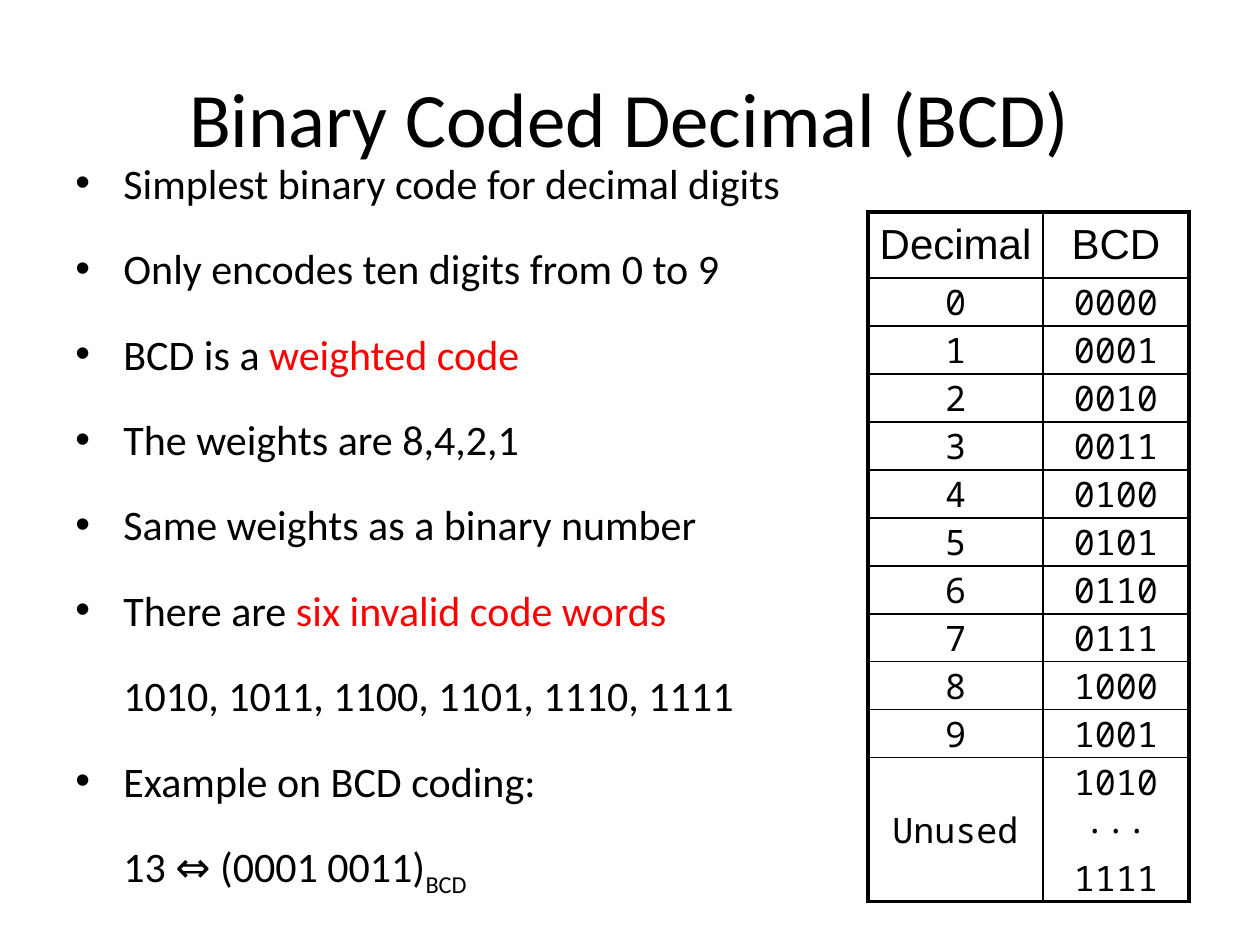
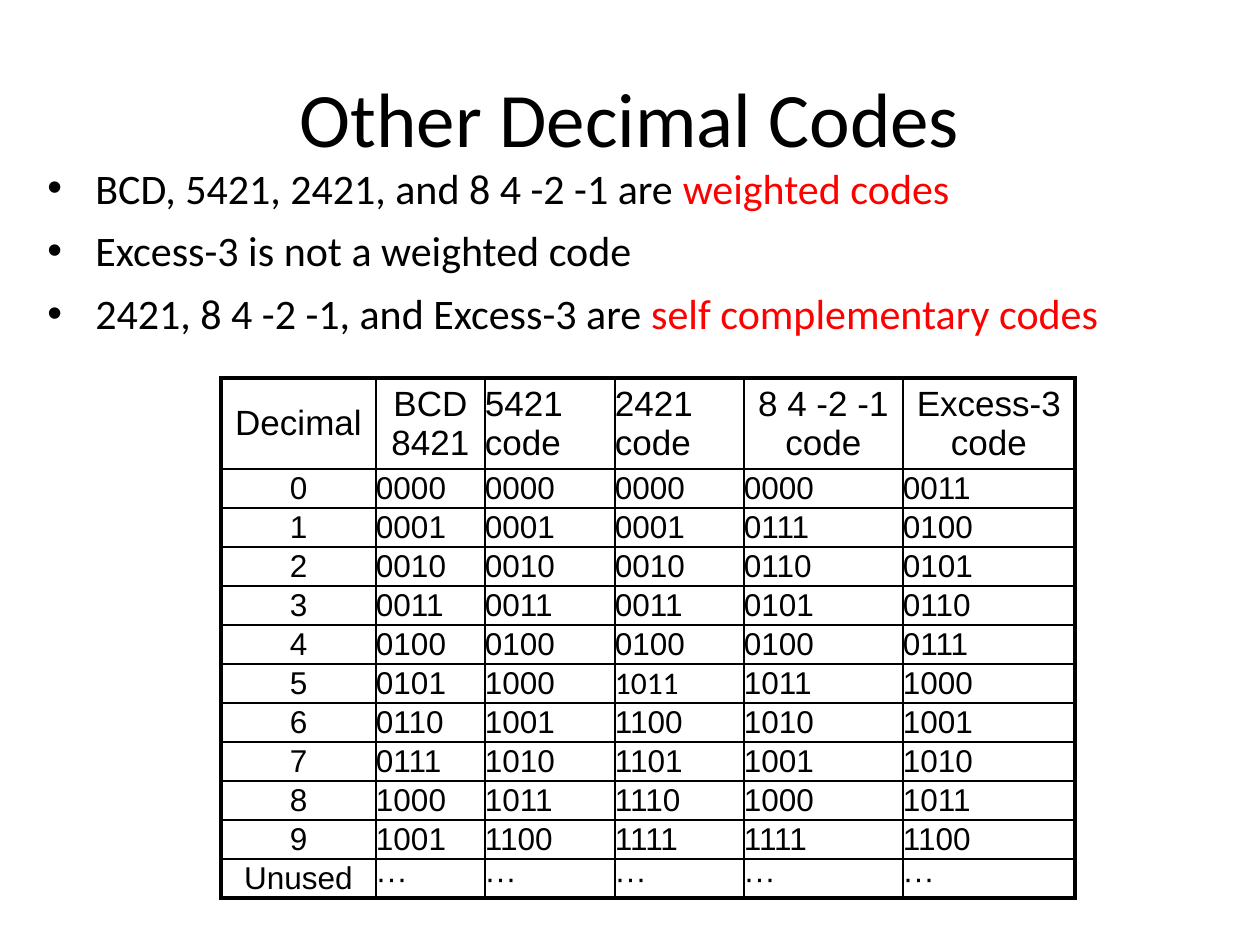
import pptx
import pptx.dml.color
import pptx.enum.text
import pptx.oxml.ns
import pptx.util
from lxml import etree

PX = 914400 / 126
BLACK, RED = "000000", "FF0000"
ALIGN = pptx.enum.text.PP_ALIGN
ANCHOR = pptx.enum.text.MSO_ANCHOR
TITLE_BOX = (63, 38, 1134, 157)
BULLET_INDENT = 48
THIN, THICK = 1, 2.25
DIGITS = [str(digit) for digit in range(10)]
BCD = [format(digit, "04b") for digit in range(10)]

SLIDES = [
    {
        "title": "Binary Coded Decimal (BCD)",
        "body_box": (63, 151, 798, 762),
        "gap": 20,
        "lines": [
            ("•", [("Simplest binary code for decimal digits", {})]),
            ("•", [("Only encodes ten digits from 0 to 9", {})]),
            ("•", [("BCD is a ", {}), ("weighted code", {"color": RED})]),
            ("•", [("The weights are 8,4,2,1", {})]),
            ("•", [("Same weights as a binary number", {})]),
            ("•", [("There are ", {}), ("six invalid code words", {"color": RED})]),
            ("", [("1010, 1011, 1100, 1101, 1110, 1111", {})]),
            ("•", [("Example on BCD coding:", {})]),
            ("", [("13 ⇔ (0001 0011)", {}), ("BCD", {"baseline": -25})]),
        ],
        "table": {
            "corner": (868, 212),
            "widths": [175, 146],
            "heights": [66] + [48] * 10 + [144],
            "columns": [
                ["Decimal", *DIGITS, "Unused"],
                ["BCD", *BCD, "1010\n···\n1111"],
            ],
            "head": {"size": 24, "font": "Arial"},
            "body": {"size": 20, "font": "Noto Sans Mono"},
            "left_heads": [],
            "left_bodies": [],
            "fonts": {},
        },
    },
    {
        "title": "Other Decimal Codes",
        "body_box": (35, 156, 1207, 190),
        "gap": 7,
        "lines": [
            ("•", [("BCD, 5421, 2421, and 8 4 -2 -1 are ", {}),
                   ("weighted codes", {"color": RED})]),
            ("•", [("Excess-3 is not a weighted code", {})]),
            ("•", [("2421, 8 4 -2 -1, and Excess-3 are ", {}),
                   ("self complementary codes", {"color": RED})]),
        ],
        "table": {
            "corner": (221, 378),
            "widths": [155, 109, 130, 129, 159, 172],
            "heights": [91] + [39] * 11,
            "columns": [
                ["Decimal", *DIGITS, "Unused"],
                ["BCD\n8421", *BCD, "···"],
                ["5421\ncode", *BCD[:5], "1000", "1001", "1010", "1011", "1100", "···"],
                ["2421\ncode", *BCD[:5], "1011", "1100", "1101", "1110", "1111", "···"],
                ["8 4 -2 -1\ncode", "0000", "0111", "0110", "0101", "0100",
                 "1011", "1010", "1001", "1000", "1111", "···"],
                ["Excess-3\ncode", *[format(digit + 3, "04b") for digit in range(10)], "···"],
            ],
            "head": {"size": 20, "font": "Arial"},
            "body": {"size": 18, "font": "Arial"},
            "left_heads": [2, 3],
            "left_bodies": [1, 2, 3, 4, 5],
            "fonts": {(6, 3): "Calibri"},
        },
    },
]


def px(length):
    return pptx.util.Emu(round(length * PX))


def rgb(color):
    return pptx.dml.color.RGBColor.from_string(color)


def add_element(parent, tag, **attributes):
    element = etree.SubElement(parent, pptx.oxml.ns.qn(tag))
    for name, value in attributes.items():
        element.set(name, str(value))
    return element


def add_span(para, text, size=24, font="Calibri", color=BLACK, baseline=0):
    span = para.add_run()
    span.text = text
    span.font.size = pptx.util.Pt(size)
    span.font.name = font
    span.font.bold = False
    span.font.color.rgb = rgb(color)
    if baseline:
        span.font._element.set("baseline", str(baseline * 1000))


def next_para(frame, index):
    return frame.add_paragraph() if index else frame.paragraphs[0]


def add_frame(page, place, anchor):
    frame = page.shapes.add_textbox(*map(px, place)).text_frame
    frame.word_wrap = True
    frame.vertical_anchor = anchor
    return frame


def add_title(page, text):
    para = add_frame(page, TITLE_BOX, ANCHOR.MIDDLE).paragraphs[0]
    para.alignment = ALIGN.CENTER
    add_span(para, text, size=44)


def add_lines(page, place, lines, gap):
    frame = add_frame(page, place, ANCHOR.TOP)
    for index, (bullet, spans) in enumerate(lines):
        para = next_para(frame, index)
        properties = para._p.get_or_add_pPr()
        properties.set("marL", str(px(BULLET_INDENT)))
        properties.set("indent", str(px(-BULLET_INDENT if bullet else 0)))
        if bullet:
            add_element(properties, "a:buFont", typeface="Arial")
            add_element(properties, "a:buChar", char=bullet)
        if index:
            para.space_before = pptx.util.Pt(gap)
        for text, style in spans:
            add_span(para, text, **style)


def set_borders(cell, **weights):
    properties = cell._tc.get_or_add_tcPr()
    for side in "LRTB":
        line = add_element(properties, f"a:ln{side}", w=pptx.util.Pt(weights[side]))
        add_element(add_element(line, "a:solidFill"), "a:srgbClr", val=BLACK)


def fill_cell(cell, text, align, style):
    cell.margin_left = cell.margin_right = cell.margin_top = cell.margin_bottom = 0
    cell.vertical_anchor = ANCHOR.MIDDLE
    for index, line in enumerate(text.split("\n")):
        para = next_para(cell.text_frame, index)
        para.alignment = align
        add_span(para, line, **style)


def add_code_table(page, codes):
    widths, heights = codes["widths"], codes["heights"]
    place = (*codes["corner"], sum(widths), sum(heights))
    table = page.shapes.add_table(len(heights), len(widths), *map(px, place)).table
    table.first_row = table.horz_banding = False
    for row, height in zip(table.rows, heights):
        row.height = px(height)
    last_row, last_column = len(heights) - 1, len(widths) - 1
    for column, texts in enumerate(codes["columns"]):
        table.columns[column].width = px(widths[column])
        for row, text in enumerate(texts):
            cell = table.cell(row, column)
            style = dict(codes["body"] if row else codes["head"])
            style["font"] = codes["fonts"].get((row, column), style["font"])
            left = codes["left_bodies"] if row else codes["left_heads"]
            fill_cell(cell, text, ALIGN.LEFT if column in left else ALIGN.CENTER, style)
            set_borders(
                cell,
                L=THIN if column else THICK,
                R=THICK if column == last_column else THIN,
                T=THIN if row else THICK,
                B=THICK if row == last_row else THIN,
            )
            cell.fill.background()


def main():
    deck = pptx.Presentation()
    deck.slide_width, deck.slide_height = px(1260), px(945)
    for content in SLIDES:
        page = deck.slides.add_slide(deck.slide_layouts[6])
        add_title(page, content["title"])
        add_lines(page, content["body_box"], content["lines"], content["gap"])
        add_code_table(page, content["table"])
    deck.save("out.pptx")


if __name__ == "__main__":
    main()
